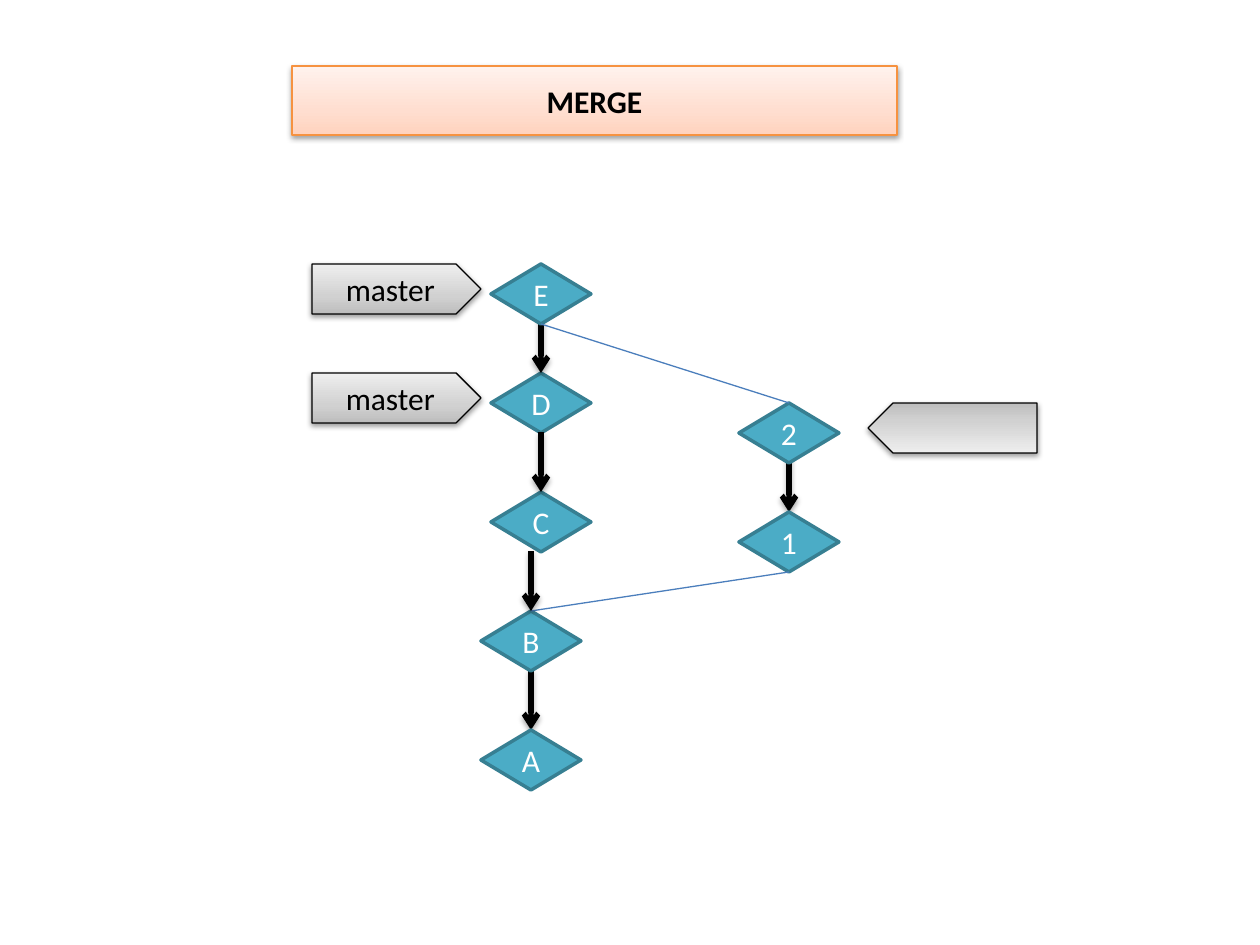
from copy import deepcopy

from lxml.etree import SubElement
from pptx import Presentation
from pptx.dml.color import RGBColor
from pptx.enum.shapes import MSO_CONNECTOR as LINK, MSO_SHAPE as SHAPE
from pptx.enum.text import MSO_ANCHOR as ANCHOR, PP_ALIGN as ALIGN
from pptx.oxml.ns import qn
from pptx.util import Emu, Pt

SCALE = 914400 / 126
BLACK = RGBColor(0x00, 0x00, 0x00)
WHITE = RGBColor(0xFF, 0xFF, 0xFF)
TEAL = RGBColor(0x4B, 0xAC, 0xC6)
DARK_TEAL = RGBColor(0x37, 0x7F, 0x92)
BLUE = RGBColor(0x4B, 0x7E, 0xBC)
ORANGE = RGBColor(0xF6, 0x92, 0x40)
GRAYS = (RGBColor(0xBD, 0xBD, 0xBD), RGBColor(0xD1, 0xD1, 0xD1),
         RGBColor(0xEE, 0xEE, 0xEE))
PEACHES = (RGBColor(0xFF, 0xD2, 0xBD), RGBColor(0xFF, 0xDE, 0xD0),
           RGBColor(0xFF, 0xF2, 0xED))
STOPS = (0, 0.35, 1)

NODE_W, NODE_H = 100, 60
ARROW_LEN = 60
# Each commit: centre x, top y
NODES = {"C": (541, 492), "B": (531, 611), "A": (531, 730),
         "D": (541, 373), "2": (789, 403), "1": (789, 512),
         "E": (541, 264)}


def px(*sizes):
    return [Emu(round(size * SCALE)) for size in sizes]


def set_shadow(item, alpha, dist):
    """Cast a soft black shadow straight down."""
    props = item._element.spPr
    effects = props.find(qn("a:effectLst"))
    shadow = SubElement(effects, qn("a:outerShdw"), blurRad="40000",
                        dist=str(dist), dir="5400000", rotWithShape="0")
    color = SubElement(shadow, qn("a:srgbClr"), val=str(BLACK))
    SubElement(color, qn("a:alpha"), val=str(alpha * 1000))


def set_blend(fill, props, colors):
    """Fill with three colours running from bottom to top."""
    fill.gradient()
    fill.gradient_angle = 90
    stops = props.find(".//" + qn("a:gsLst"))
    stops.append(deepcopy(stops[0]))
    for stop, color, place in zip(fill.gradient_stops, colors, STOPS):
        stop.color.rgb = color
        stop.position = place


def add_box(slide, kind, box, edge, width, text, color, bold=False):
    shape = slide.shapes.add_shape(kind, *px(*box))
    shape.line.color.rgb = edge
    shape.line.width = Pt(width)
    shape.shadow.inherit = False
    if text:
        frame = shape.text_frame
        frame.vertical_anchor = ANCHOR.MIDDLE
        para = frame.paragraphs[0]
        para.alignment = ALIGN.CENTER
        run = para.add_run()
        run.text = text
        font = run.font
        font.name, font.size, font.bold = "Calibri", Pt(18), bold
        font.color.rgb = color
    return shape


def add_panel(slide, kind, box, colors, edge, text="", bold=False):
    """Add a blended, shadowed shape."""
    shape = add_box(slide, kind, box, edge, 0.75, text, BLACK, bold)
    set_blend(shape.fill, shape._element.spPr, colors)
    set_shadow(shape, 38, 20000)
    return shape


def add_tag(slide, left, top, text=""):
    return add_panel(slide, SHAPE.PENTAGON, (left, top, 169, 50),
                     GRAYS, BLACK, text)


def add_node(slide, name):
    mid, top = NODES[name]
    box = (mid - NODE_W / 2, top, NODE_W, NODE_H)
    shape = add_box(slide, SHAPE.FLOWCHART_DECISION, box, DARK_TEAL, 2,
                    name, WHITE)
    shape.fill.solid()
    shape.fill.fore_color.rgb = TEAL


def add_line(slide, start, end, color, width):
    line = slide.shapes.add_connector(LINK.STRAIGHT, *px(*start, *end))
    line.line.color.rgb = color
    line.line.width = Pt(width)
    SubElement(line._element.spPr, qn("a:effectLst"))
    return line


def add_arrow(slide, name):
    """Point down at the top of the named commit."""
    mid, top = NODES[name]
    arrow = add_line(slide, (mid, top - ARROW_LEN), (mid, top), BLACK, 3)
    outline = arrow._element.spPr.find(qn("a:ln"))
    SubElement(outline, qn("a:tailEnd"), type="arrow")
    set_shadow(arrow, 35, 23000)


def add_branch(slide, upper, lower):
    """Join the bottom of one commit to the top of another."""
    mid, top = NODES[upper]
    add_line(slide, (mid, top + NODE_H), NODES[lower], BLUE, 0.75)


def main():
    deck = Presentation()
    deck.slide_width, deck.slide_height = px(1260, 945)
    slide = deck.slides.add_slide(deck.slide_layouts[6])

    for name in "1A":
        add_arrow(slide, name)
    for name in "CBAD21":
        add_node(slide, name)
    add_branch(slide, "1", "B")

    add_tag(slide, 312, 373, "master")
    add_tag(slide, 868, 403).rotation = 180
    add_panel(slide, SHAPE.RECTANGLE, (292, 66, 605, 69), PEACHES, ORANGE,
              "MERGE", bold=True)

    for name in "BCD":
        add_arrow(slide, name)
    add_node(slide, "E")
    add_branch(slide, "E", "2")
    add_tag(slide, 312, 264, "master")
    deck.save("out.pptx")


if __name__ == "__main__":
    main()
